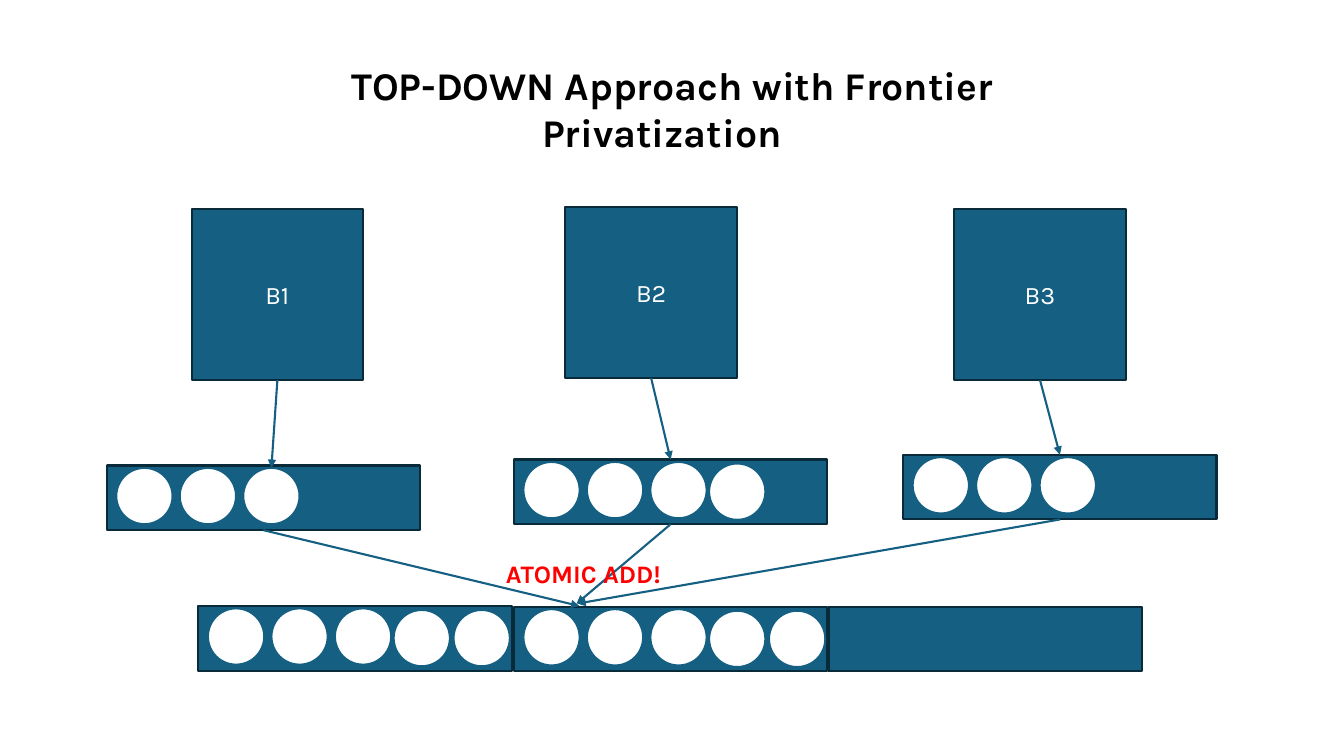
from lxml.etree import SubElement
from pptx import Presentation
from pptx.dml.color import RGBColor
from pptx.enum.shapes import MSO_CONNECTOR, MSO_SHAPE
from pptx.enum.text import MSO_ANCHOR, MSO_AUTO_SIZE, PP_ALIGN
from pptx.oxml.ns import qn
from pptx.util import Cm, Pt

BLUE, DARK, WHITE = "156082", "092A39", "FFFFFF"
BLOCK = 4.32
QUEUE_W, QUEUE_H = 7.9, 1.63
NODE = 1.42
NODE_SLOTS = [(0.24, 0.06), (1.84, 0.06), (3.44, 0.06), (4.92, 0.1), (6.43, 0.1)]


def color(value):
    return RGBColor.from_string(value)


def write(p, text, size=18, fill=WHITE, bold=False, align=PP_ALIGN.CENTER):
    p.alignment = align
    r = p.add_run()
    r.text = text
    r.font.name = "Karla"
    r.font.size = Pt(size)
    r.font.bold = bold
    r.font.color.rgb = color(fill)


def add_shape(s, kind, x, y, w, h, fill=BLUE, line=DARK):
    sp = s.shapes.add_shape(kind, Cm(x), Cm(y), Cm(w), Cm(h))
    sp.shadow.inherit = False
    sp.fill.solid()
    sp.fill.fore_color.rgb = color(fill)
    sp.line.color.rgb = color(line)
    sp.line.width = Pt(1.5)
    return sp


def add_arrow(s, source, target=None, end=(0, 0)):
    c = s.shapes.add_connector(MSO_CONNECTOR.STRAIGHT, 0, 0, Cm(end[0]), Cm(end[1]))
    c.begin_connect(source, 2)
    if target is not None:
        c.end_connect(target, 0)
    c.line.color.rgb = color(BLUE)
    c.line.width = Pt(1.5)
    SubElement(c.line._get_or_add_ln(), qn("a:tailEnd"), type="triangle")
    SubElement(c._element.spPr, qn("a:effectLst"))


def add_title(s, x, y, w, h):
    sp = s.shapes.title
    sp.left, sp.top, sp.width, sp.height = Cm(x), Cm(y), Cm(w), Cm(h)
    tf = sp.text_frame
    tf.word_wrap = True
    tf.auto_size = MSO_AUTO_SIZE.NONE
    tf.vertical_anchor = MSO_ANCHOR.TOP
    write(tf.paragraphs[0], "TOP-DOWN Approach with Frontier", size=28, fill="000000", bold=True)
    p = tf.add_paragraph()
    write(p, "Privatization", size=28, fill="000000", bold=True)
    p._p.get_or_add_pPr().set("marR", str(Cm(0.5)))


def add_block(s, x, y, label):
    sp = add_shape(s, MSO_SHAPE.RECTANGLE, x, y, BLOCK, BLOCK)
    sp.text_frame.vertical_anchor = MSO_ANCHOR.MIDDLE
    write(sp.text_frame.paragraphs[0], label)
    return sp


def add_queue(s, x, y, count):
    queue = add_shape(s, MSO_SHAPE.RECTANGLE, x, y, QUEUE_W, QUEUE_H)
    nodes = [add_shape(s, MSO_SHAPE.OVAL, x + dx, y + dy, NODE, NODE, WHITE, BLUE)
             for dx, dy in NODE_SLOTS[:count]]
    return queue, nodes


def add_global_frontier(s, x, y):
    add_queue(s, x, y - 0.02, 5)
    add_queue(s, x + 15.88, y, 0)
    add_queue(s, x + 7.95, y, 5)


def add_note(s, x, y, w, h):
    tf = s.shapes.add_textbox(Cm(x), Cm(y), Cm(w), Cm(h)).text_frame
    tf.word_wrap = True
    write(tf.paragraphs[0], "ATOMIC ADD!", fill="FF0000", bold=True, align=PP_ALIGN.LEFT)


def main():
    prs = Presentation()
    prs.slide_width, prs.slide_height = Cm(33.87), Cm(19.05)
    s = prs.slides.add_slide(prs.slide_layouts[5])
    add_title(s, 8.56, 1.42, 16.74, 2.64)

    blocks = [add_block(s, x, y, f"B{i}")
              for i, (x, y) in enumerate([(4.83, 5.26), (14.25, 5.21), (24.05, 5.26)], 1)]
    private = [add_queue(s, x, y, count)
               for x, y, count in [(2.69, 11.73, 3), (12.95, 11.58, 4), (22.76, 11.46, 3)]]
    queues = [queue for queue, nodes in private]
    first_queue_tail = private[0][1][-1]
    for block, target in zip(blocks, [first_queue_tail] + queues[1:]):
        add_arrow(s, block, target)

    add_global_frontier(s, 5, 15.29)
    for queue, end in zip(queues, [(14.6, 15.27), (14.53, 15.21), (14.55, 15.21)]):
        add_arrow(s, queue, end=end)
    add_note(s, 12.5, 13.94, 9.65, 1.02)

    prs.save("out.pptx")


if __name__ == "__main__":
    main()
